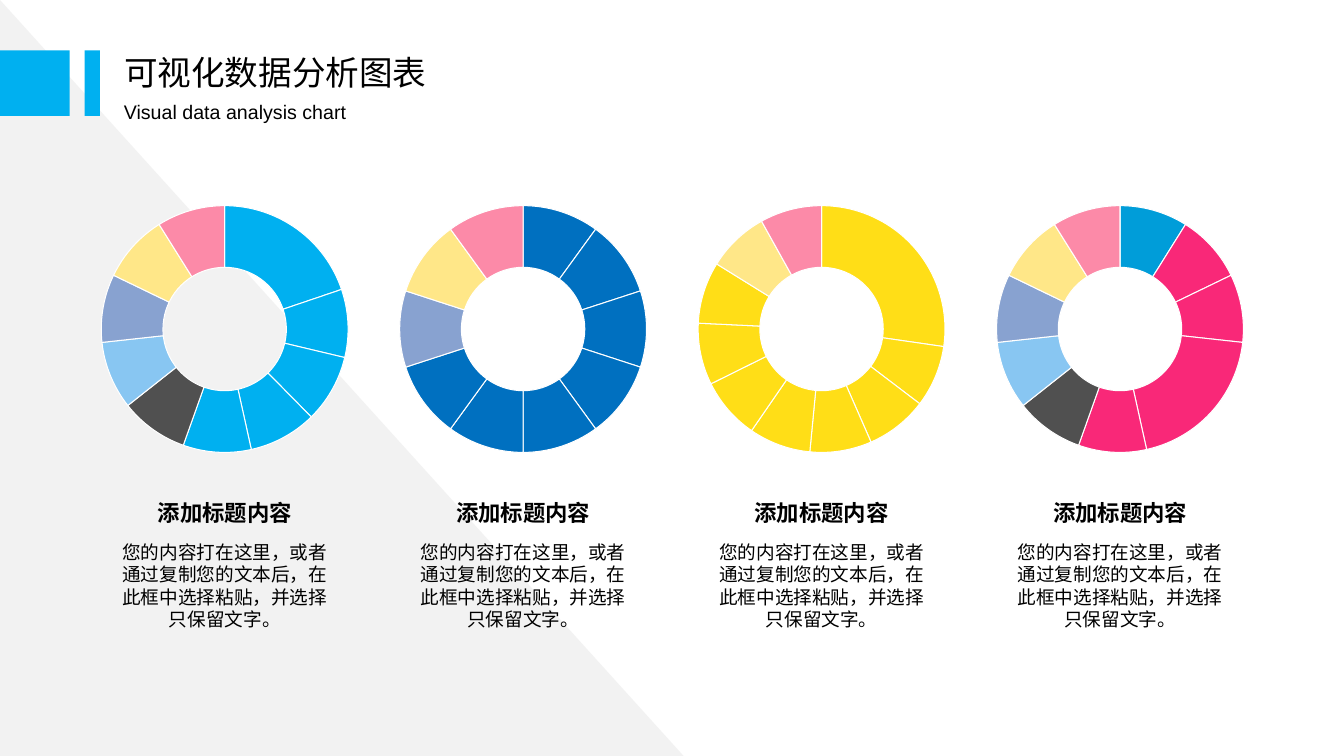
import pptx
import pptx.chart.data
import pptx.dml.color
import pptx.enum.chart
import pptx.enum.shapes
import pptx.enum.text
import pptx.oxml
import pptx.util

SLIDE_W, SLIDE_H = 13.33, 7.5
FONT = "Arial"
HEADING = "可视化数据分析图表"
SUBHEADING = "Visual data analysis chart"
CAPTION = "添加标题内容"
BODY = "您的内容打在这里，或者通过复制您的文本后，在此框中选择粘贴，并选择只保留文字。"

SKY, BLUE, YELLOW, PINK = "00B0F0", "0070C0", "FFDE17", "F92878"
DEEP_SKY, GREY = "009DD9", "505050"
PALE = ["88C6F2", "88A2D0", "FFE788", "FC8AA8"]

# (values, slice colours) from left to right
RINGS = [
    ([20] + [9] * 9, [SKY] * 5 + [GREY] + PALE),
    ([10] * 10, [BLUE] * 7 + PALE[1:]),
    ([27] + [8] * 9, [YELLOW] * 8 + PALE[2:]),
    ([9] * 3 + [20] + [9] * 6, [DEEP_SKY] + [PINK] * 4 + [GREY] + PALE),
]

FIRST_CENTRE, PITCH = 2.23, 2.96
CHART_TOP, CHART_W, CHART_H, RING = 1.82, 2.73, 2.89, 2.45
HOLE_PERCENT = 54
BARS = [(0, 0.69), (0.84, 0.15)]  # left, width
BAR_TOP, BAR_H = 0.5, 0.65


def colour(hex_string):
    return pptx.dml.color.RGBColor.from_string(hex_string)


def inches(*lengths):
    return [pptx.util.Inches(length) for length in lengths]


def add_block(slide, preset, box, fill):
    block = slide.shapes.add_shape(preset, *inches(*box))
    block.shadow.inherit = False
    block.fill.solid()
    block.fill.fore_color.rgb = colour(fill)
    block.line.fill.background()
    return block


def write(holder, box, text, size, bold=False, centred=False, spacing=1.0):
    """Place a text holder; centred text is also middle-anchored, without insets."""
    holder.left, holder.top, holder.width, holder.height = inches(*box)
    frame = holder.text_frame
    frame.word_wrap = True
    frame.auto_size = pptx.enum.text.MSO_AUTO_SIZE.NONE
    frame.vertical_anchor = pptx.enum.text.MSO_ANCHOR.TOP
    paragraph = frame.paragraphs[0]
    paragraph.alignment = pptx.enum.text.PP_ALIGN.LEFT
    paragraph.line_spacing = spacing
    if centred:
        frame.vertical_anchor = pptx.enum.text.MSO_ANCHOR.MIDDLE
        frame.margin_left = frame.margin_right = 0
        frame.margin_top = frame.margin_bottom = 0
        paragraph.alignment = pptx.enum.text.PP_ALIGN.CENTER
    run = paragraph.add_run()
    run.text = text
    run.font.name = FONT
    run.font.size = pptx.util.Pt(size)
    run.font.bold = bold
    run.font.color.rgb = colour("000000")


def add_text(slide, box, *args, **options):
    write(slide.shapes.add_textbox(*inches(*box)), box, *args, **options)


def fix_ring_size(chart):
    """Centre the ring in its frame at a set diameter and set its hole."""
    share_w, share_h = RING / CHART_W, RING / CHART_H
    places = {"x": (1 - share_w) / 2, "y": (1 - share_h) / 2,
              "w": share_w, "h": share_h}
    settings = "".join(f'<c:{key}Mode val="edge"/>' for key in "xy")
    settings += "".join(f'<c:{key} val="{share:.3f}"/>' for key, share in places.items())
    layout = pptx.oxml.parse_xml(
        '<c:layout xmlns:c="http://schemas.openxmlformats.org/drawingml/2006/chart">'
        '<c:manualLayout><c:layoutTarget val="inner"/>'
        f'{settings}</c:manualLayout></c:layout>')
    plot_area = chart.element.xpath("//c:plotArea")[0]
    for automatic in plot_area.xpath("c:layout"):
        plot_area.remove(automatic)
    plot_area.insert(0, layout)
    plot_area.xpath(".//c:holeSize")[0].set("val", str(HOLE_PERCENT))


def add_ring(slide, centre, values, fills):
    data = pptx.chart.data.CategoryChartData()
    data.categories = [str(number + 1) for number in range(len(values))]
    data.add_series("Series 1", values)
    chart = slide.shapes.add_chart(
        pptx.enum.chart.XL_CHART_TYPE.DOUGHNUT,
        *inches(centre - CHART_W / 2, CHART_TOP, CHART_W, CHART_H), data).chart
    chart.has_legend = False
    chart.has_title = False
    chart.font.name = FONT
    chart.font.size = pptx.util.Pt(18)
    chart.font.color.rgb = colour("000000")
    chart.plots[0].vary_by_categories = True
    for index, fill in enumerate(fills):
        slice_format = chart.plots[0].series[0].points[index].format
        slice_format.fill.solid()
        slice_format.fill.fore_color.rgb = colour(fill)
        slice_format.line.color.rgb = colour("FFFFFF")
        slice_format.line.width = pptx.util.Pt(0.75)
    fix_ring_size(chart)


def main():
    deck = pptx.Presentation()
    deck.slide_width, deck.slide_height = inches(SLIDE_W, SLIDE_H)
    slide = deck.slides.add_slide(deck.slide_layouts.get_by_name("Title Only"))
    preset = pptx.enum.shapes.MSO_SHAPE

    backdrop = add_block(slide, preset.RIGHT_TRIANGLE, (0, 0, 6.78, SLIDE_H), "F2F2F2")
    heading = slide.shapes.title
    heading.element.addprevious(backdrop.element)
    write(heading, (1.13, 0.38, 5, 0.59), HEADING, 24, spacing=1.2)
    add_text(slide, (1.13, 0.85, 4, 0.43), SUBHEADING, 14, spacing=1.4)
    for left, width in BARS:
        add_block(slide, preset.RECTANGLE, (left, BAR_TOP, width, BAR_H), SKY)

    for column, (values, fills) in enumerate(RINGS):
        centre = FIRST_CENTRE + column * PITCH
        add_ring(slide, centre, values, fills)
        add_text(slide, (centre - 1.08, 4.95, 2.16, 0.27), CAPTION, 16,
                 bold=True, centred=True)
        add_text(slide, (centre - 1.08, 5.36, 2.16, 0.9), BODY, 13.3, centred=True)

    deck.save("out.pptx")


if __name__ == "__main__":
    main()
